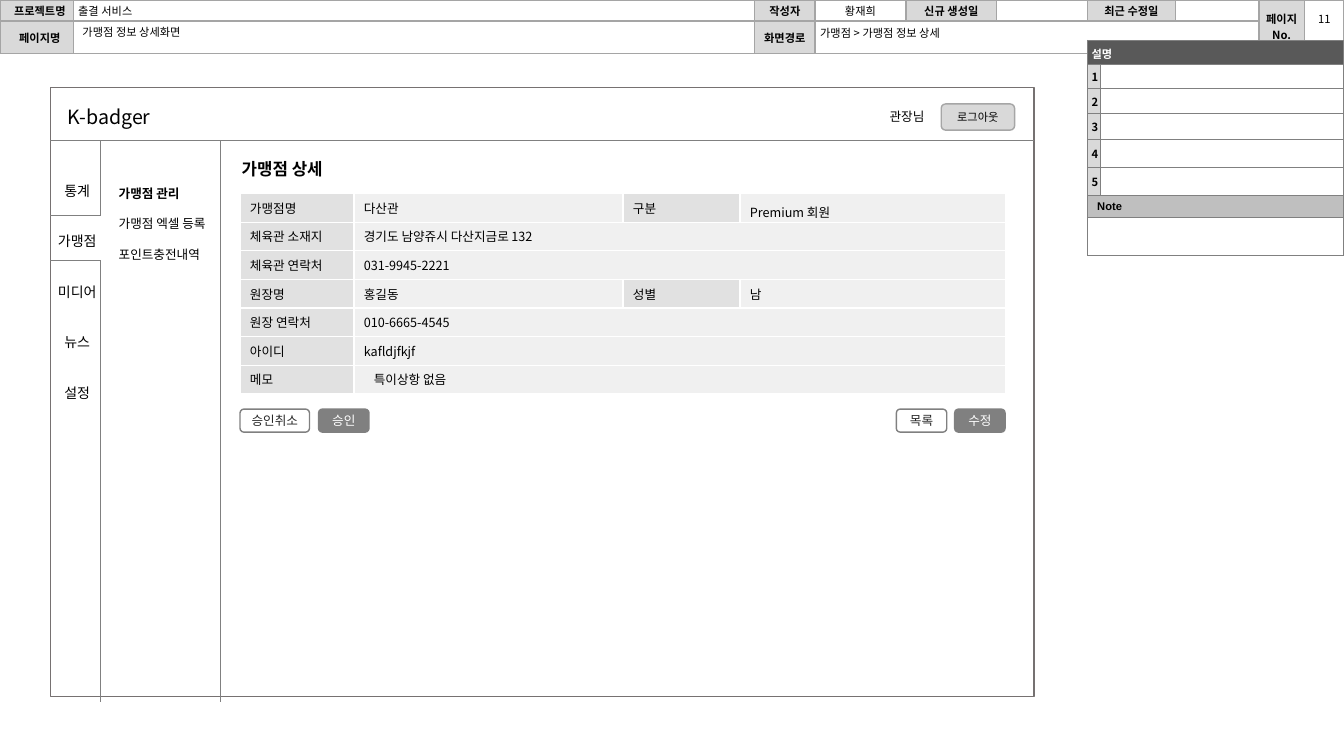
import dataclasses
import pptx
import pptx.dml.color
import pptx.enum.shapes
import pptx.enum.text
import pptx.oxml.ns
import pptx.util
from lxml import etree

Cm, Pt = pptx.util.Cm, pptx.util.Pt
qn = pptx.oxml.ns.qn
Align = pptx.enum.text.PP_ALIGN
Anchor = pptx.enum.text.MSO_ANCHOR
Kind = pptx.enum.shapes.MSO_SHAPE
Link = pptx.enum.shapes.MSO_CONNECTOR


@dataclasses.dataclass(frozen=True)
class Theme:
    font: str = "Noto Sans CJK KR"
    latin: str = "Arial"
    tiny: int = 8
    small: int = 9
    menu: int = 10
    title: int = 12
    brand: int = 14
    black: str = "000000"
    ink: str = "262626"
    white: str = "FFFFFF"
    label: str = "D9D9D9"
    grid: str = "A5A5A5"
    rim: str = "A6A6A6"
    frame: str = "767171"
    gray: str = "808080"
    dark: str = "595959"
    note: str = "BFBFBF"
    key: str = "E1E1E1"
    value: str = "F0F0F0"


T = Theme()
PAD = (0.25, 0.13, 0.25, 0.13)
SLIM = (0.1, 0.1, 0.1, 0.1)
NONE = (0, 0, 0, 0)


def rgb(code):
    return pptx.dml.color.RGBColor.from_string(code)


def place(shape, box):
    shape.left, shape.top, shape.width, shape.height = map(Cm, box)


def inset(item, pad):
    item.margin_left, item.margin_top, item.margin_right, item.margin_bottom = map(Cm, pad)


def write(frame, text, size, color=T.black, bold=False, align=Align.LEFT, gap=1.0, after=0, font=T.font):
    """Fill a text frame, one paragraph a line; an empty text keeps only its size."""
    frame.text = text
    for para in frame.paragraphs:
        para.alignment, para.line_spacing = align, gap
        para.space_before, para.space_after = Pt(0), Pt(after)
        for run in para.runs:
            run.font.size, run.font.bold = Pt(size), bold
            run.font.color.rgb = rgb(color)
            run.font.name = font
            etree.SubElement(run.font._element, qn("a:ea"), typeface=font)
        if not text:
            etree.SubElement(para._p, qn("a:endParaRPr"), sz=str(size * 100))


def label(slide, box, text, size, pad=PAD, **look):
    shape = slide.shapes.add_textbox(*map(Cm, box))
    shape.text_frame.word_wrap = True
    inset(shape.text_frame, pad)
    write(shape.text_frame, text, size, **look)


def fill_holder(holder, box, text, size, wrap=True, **look):
    """Move a placeholder and set its text without bullets."""
    place(holder, box)
    frame = holder.text_frame
    frame.word_wrap, frame.vertical_anchor = wrap, Anchor.TOP
    frame.auto_size = pptx.enum.text.MSO_AUTO_SIZE.NONE
    inset(frame, PAD)
    write(frame, text, size, **look)
    for para in frame.paragraphs:
        props = para._p.get_or_add_pPr()
        props.set("marL", "0")
        props.set("indent", "0")
        etree.SubElement(props, qn("a:buNone"))


def button(slide, box, text, fill, line, color, size=T.small):
    shape = slide.shapes.add_shape(Kind.ROUNDED_RECTANGLE, *map(Cm, box))
    shape.shadow.inherit = False
    shape.fill.solid()
    shape.fill.fore_color.rgb = rgb(fill)
    shape.line.color.rgb, shape.line.width = rgb(line), Pt(1)
    shape.text_frame.vertical_anchor = Anchor.MIDDLE
    inset(shape.text_frame, SLIM)
    write(shape.text_frame, text, size, color, align=Align.CENTER)


def rule(slide, x1, y1, x2, y2, color=T.gray):
    line = slide.shapes.add_connector(Link.STRAIGHT, Cm(x1), Cm(y1), Cm(x2), Cm(y2))
    line.line.color.rgb, line.line.width = rgb(color), Pt(0.5)
    etree.SubElement(line._element.spPr, qn("a:effectLst"))


def grid(slide, x, y, cols, rows, edge):
    """Add a plain table whose cells are white and bordered."""
    table = slide.shapes.add_table(len(rows), len(cols), Cm(x), Cm(y), Cm(sum(cols)), Cm(sum(rows))).table
    table.first_row = table.horz_banding = False
    for col, width in zip(table.columns, cols):
        col.width = Cm(width)
    for row, height in zip(table.rows, rows):
        row.height = Cm(height)
    for cell in table.iter_cells():
        props = cell._tc.get_or_add_tcPr()
        for side in ("lnL", "lnR", "lnT", "lnB"):
            line = etree.SubElement(props, qn("a:" + side), w=str(Pt(1)))
            paint = etree.SubElement(line, qn("a:solidFill"))
            etree.SubElement(paint, qn("a:srgbClr"), val=edge)
        put(cell, "", T.white)
    return table


def put(cell, text, fill, size=T.tiny, pad=NONE, anchor=Anchor.MIDDLE, **look):
    cell.fill.solid()
    cell.fill.fore_color.rgb = rgb(fill)
    cell.vertical_anchor = anchor
    inset(cell, pad)
    write(cell.text_frame, text, size, **look)


def header(slide, x, y):
    cols = (1.85, 17.17, 1.52, 2.29, 2.29, 2.29, 2.21, 2.11, 1.14, 0.99)
    table = grid(slide, x, y, cols, (0.53, 0.82), T.grid)
    for col in (8, 9):
        table.cell(0, col).merge(table.cell(1, col))
    table.cell(1, 3).merge(table.cell(1, 7))
    heads = {(0, 0): "프로젝트명", (0, 2): "작성자", (0, 4): "신규 생성일", (0, 6): "최근 수정일",
             (0, 8): "페이지 No.", (1, 0): "페이지명", (1, 2): "화면경로"}
    for (row, col), text in heads.items():
        pad = NONE if col else (0.16, 0, 0, 0)
        put(table.cell(row, col), text, T.label, pad=pad, bold=True, align=Align.CENTER)
    put(table.cell(0, 1), "출결 서비스", T.white, pad=(0.12, 0, 0, 0))
    put(table.cell(0, 3), "황재희", T.white, align=Align.CENTER)
    label(slide, (x + 1.98, y + 0.53, 16.87, 0.53), "가맹점 정보 상세화면", T.tiny, SLIM)
    label(slide, (x + 20.57, y + 0.56, 10.97, 0.53), "가맹점 > 가맹점 정보 상세", T.tiny, SLIM)
    label(slide, (x + 32.89, y + 0.03, 0.97, 0.74), "11", T.tiny, (0, 0.3, 0, 0.1), align=Align.CENTER)


def screen(slide, x, y, w, h):
    """Draw the app window: frame, dividers, top bar and both menus."""
    frame = slide.shapes.add_shape(Kind.RECTANGLE, *map(Cm, (x, y, w, h)))
    frame.shadow.inherit = False
    frame.fill.background()
    frame.line.color.rgb, frame.line.width = rgb(T.frame), Pt(1)
    bar, tab, side, foot = y + 1.32, x + 1.27, x + 4.29, y + h + 0.15
    upper, lower = y + 3.23, y + 4.34
    for edge in (tab, side):
        rule(slide, edge, bar, edge, foot)
    rule(slide, x, bar, x + w, bar)
    for level in (upper, lower):
        rule(slide, x, level, tab, level)
    rule(slide, tab, upper, tab, lower, T.white)
    label(slide, (x + 0.18, y + 0.3, 3, 0.86), "K-badger", T.brand)
    label(slide, (x + 20.9, y + 0.41, 1.5, 0.64), "관장님", T.small)
    button(slide, (x + 22.45, y + 0.41, 1.85, 0.66), "로그아웃", T.label, T.rim, T.black, T.tiny)
    title, menu, sub = slide.placeholders
    fill_holder(title, (x + 4.57, y + 1.65, 2.79, 0.76), "가맹점 상세", T.title, wrap=False, bold=True)
    fill_holder(menu, (x - 0.2, y + 2.04, 1.75, 5.94), "통계\n가맹점\n미디어\n뉴스\n설정", T.menu,
                align=Align.CENTER, gap=1.5, after=18)
    fill_holder(sub, (x + 1.47, y + 1.96, 3.33, 2.44), "가맹점 관리\n가맹점 엑셀 등록\n포인트충전내역", T.small, gap=2.0)
    sub.text_frame.paragraphs[0].runs[0].font.bold = True


def detail(slide, x, y, w):
    rows = (("가맹점명", "다산관", "구분", "Premium 회원"),
            ("체육관 소재지", "경기도 남양쥬시 다산지금로 132"),
            ("체육관 연락처", "031-9945-2221"),
            ("원장명", "홍길동", "성별", "남"),
            ("원장 연락처", "010-6665-4545"),
            ("아이디", "kafldjfkjf"),
            ("메모", "특이상항 없음"))
    table = grid(slide, x, y, (2.87, 6.78, 2.95, w - 12.6), [0.72] * len(rows), T.white)
    for r, texts in enumerate(rows):
        if len(texts) == 2:
            table.cell(r, 1).merge(table.cell(r, 3))
        for c, text in enumerate(texts):
            pad = (0.5, 0.13, 0.5, 0.13) if (r, c) == (6, 1) else PAD
            put(table.cell(r, c), text, T.value if c % 2 else T.key, T.small, pad, Anchor.TOP,
                gap=1.2 if (r, c) == (0, 3) else 1.0)
    for left, width, text, solid in ((0, 1.75, "승인취소", False), (1.98, 1.27, "승인", True),
                                     (w - 2.74, 1.27, "목록", False), (w - 1.27, 1.27, "수정", True)):
        fill, color = (T.gray, T.white) if solid else (T.white, T.ink)
        button(slide, (x + left, y + 5.43, width, 0.58), text, fill, T.gray, color)


def notes(slide, x, y):
    """Add the description panel with its numbered rows."""
    table = grid(slide, x, y, (0.32, 6.14), (0.6, 0.62, 0.63, 0.64, 0.71, 0.7, 0.57, 0.95), T.gray)
    for row in (0, 6, 7):
        table.cell(row, 0).merge(table.cell(row, 1))
    put(table.cell(0, 0), "설명", T.dark, pad=(0.1, 0.08, 0.25, 0), color=T.white, bold=True)
    for row in range(1, 6):
        put(table.cell(row, 0), str(row), T.label, pad=(0.1, 0, 0.05, 0), bold=True, align=Align.CENTER)
    put(table.cell(6, 0), "Note", T.note, pad=(0.24, 0.1, 0.1, 0.1), bold=True, font=T.latin)


def main():
    deck = pptx.Presentation()
    deck.slide_width, deck.slide_height = Cm(33.87), Cm(19.05)
    slide = deck.slides.add_slide(deck.slide_layouts.get_by_name("Two Content"))
    header(slide, 0, 0)
    screen(slide, 1.27, 2.21, 24.79, 15.34)
    detail(slide, 6.05, 4.88, 19.28)
    notes(slide, 27.41, 1.02)
    deck.save("out.pptx")


if __name__ == "__main__":
    main()
